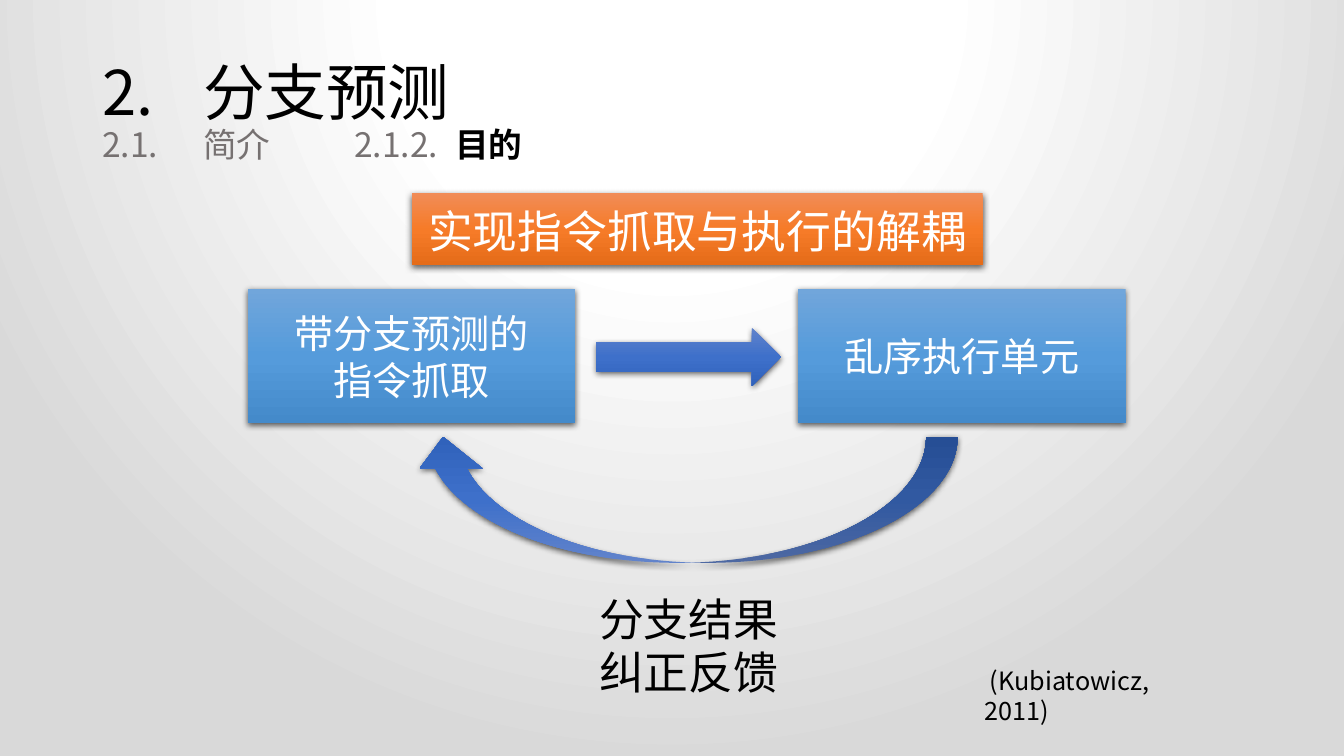
from lxml.etree import SubElement
from pptx import Presentation
from pptx.dml.color import RGBColor
from pptx.enum.shapes import MSO_SHAPE
from pptx.enum.text import MSO_ANCHOR, PP_ALIGN
from pptx.oxml.ns import qn
from pptx.util import Inches, Pt

COLORS = {
    "black": "000000",
    "white": "FFFFFF",
    "gray": "767171",
    "background": [(0, "FFFFFF"), (35, "FFFFFF"), (100, "D9D9D9")],
    "orange": [(0, "F18C57"), (50, "F67B28"), (100, "E56C19")],
    "light_blue": [(0, "71A6DB"), (50, "559BDB"), (100, "448ACA")],
    "blue": [(0, "6183CB"), (50, "3E70CA"), (100, "3062BB")],
}


class SlideBuilder:
    """Draws styled elements on one slide, measured in a grid of 160 columns by 90 rows."""

    font = "Noto Sans CJK SC"
    columns, rows = 160, 90

    def __init__(self, presentation):
        self.slide = presentation.slides.add_slide(presentation.slide_layouts[6])
        self.column = presentation.slide_width / self.columns
        self.row = presentation.slide_height / self.rows

    def place(self, left, top, width, height):
        return (round(left * self.column), round(top * self.row),
                round(width * self.column), round(height * self.row))

    def gradient(self, parent, color):
        fill = SubElement(parent, qn("a:gradFill"), rotWithShape="1")
        stops = SubElement(fill, qn("a:gsLst"))
        for position, value in COLORS[color]:
            stop = SubElement(stops, qn("a:gs"), pos=str(position * 1000))
            SubElement(stop, qn("a:srgbClr"), val=value)
        return fill

    def background(self, color):
        common = self.slide.element.cSld
        background = SubElement(common, qn("p:bg"))
        common.insert(0, background)
        properties = SubElement(background, qn("p:bgPr"))
        fill = self.gradient(properties, color)
        circle = SubElement(fill, qn("a:path"), path="circle")
        SubElement(circle, qn("a:fillToRect"), l="50000", t="-80000", r="50000", b="180000")
        SubElement(properties, qn("a:effectLst"))

    def add_lines(self, frame, lines, size, color, align=PP_ALIGN.CENTER):
        for index, line in enumerate(lines):
            paragraph = frame.paragraphs[0] if index == 0 else frame.add_paragraph()
            paragraph.alignment = align
            self.add_text(paragraph, line, size, color)

    def add_text(self, paragraph, text, size, color, bold=False):
        run = paragraph.add_run()
        run.text = text
        run.font.name = self.font
        run.font.size = Pt(size)
        run.font.bold = bold
        run.font.color.rgb = RGBColor.from_string(COLORS[color])
        SubElement(run.font._element, qn("a:ea"), typeface=self.font)

    def shape(self, kind, box, color, rotation=0):
        shape = self.slide.shapes.add_shape(kind, *self.place(*box))
        shape.rotation = rotation
        properties = shape._element.spPr
        fill = self.gradient(properties, color)
        SubElement(fill, qn("a:lin"), ang="5400000", scaled="0")
        shape.line.fill.background()
        shape.shadow.inherit = False
        shadow = SubElement(properties.find(qn("a:effectLst")), qn("a:outerShdw"),
                            blurRad=str(Pt(4.5)), dist=str(Pt(1.5)), dir="5400000",
                            algn="ctr", rotWithShape="0")
        shadow_color = SubElement(shadow, qn("a:srgbClr"), val=COLORS["black"])
        SubElement(shadow_color, qn("a:alpha"), val="63000")
        return shape

    def block(self, box, color, lines, size, anchor=MSO_ANCHOR.MIDDLE):
        frame = self.shape(MSO_SHAPE.RECTANGLE, box, color).text_frame
        frame.word_wrap = True
        frame.vertical_anchor = anchor
        self.add_lines(frame, lines, size, "white")
        return frame

    def text_box(self, box, wrap=True):
        frame = self.slide.shapes.add_textbox(*self.place(*box)).text_frame
        frame.word_wrap = wrap
        return frame

    def heading(self, box, title, section, topic):
        frame = self.text_box(box)
        frame.vertical_anchor = MSO_ANCHOR.MIDDLE
        paragraph = frame.paragraphs[0]
        paragraph.line_spacing = 0.9
        self.add_text(paragraph, title, 44, "black")
        paragraph.add_line_break()
        self.add_text(paragraph, section, 24, "gray")
        self.add_text(paragraph, topic, 24, "black", bold=True)


def main():
    presentation = Presentation()
    presentation.slide_width = Inches(40 / 3)
    presentation.slide_height = Inches(7.5)
    builder = SlideBuilder(presentation)
    builder.background("background")
    builder.heading((11, 4.8, 138, 17.4), "2.\t分支预测", "2.1.\t简介\t\t2.1.2.\t", "目的")

    goal = builder.block((49, 23, 68, 8.6), "orange", ["实现指令抓取与执行的解耦"],
                         32, MSO_ANCHOR.TOP)
    goal.paragraphs[0].line_spacing = 1.1
    goal.paragraphs[0].space_before = Pt(10)

    citation = builder.text_box((116, 78.6, 28.4, 4.8))
    builder.add_lines(citation, [" (Kubiatowicz, 2011)"], 18, "black", PP_ALIGN.LEFT)

    units = [(29.5, ["带分支预测的", "指令抓取"]), (95, ["乱序执行单元"])]
    for left, lines in units:
        builder.block((left, 34.4, 39, 16), "light_blue", lines, 28)

    builder.shape(MSO_SHAPE.RIGHT_ARROW, (71, 39, 22, 7), "blue")
    builder.shape(MSO_SHAPE.CURVED_DOWN_ARROW, (49, 52, 65, 15), "blue", rotation=180)

    feedback = builder.text_box((70, 69.8, 24, 14.2), wrap=False)
    builder.add_lines(feedback, ["分支结果", "纠正反馈"], 32, "black")
    presentation.save("out.pptx")


if __name__ == "__main__":
    main()
